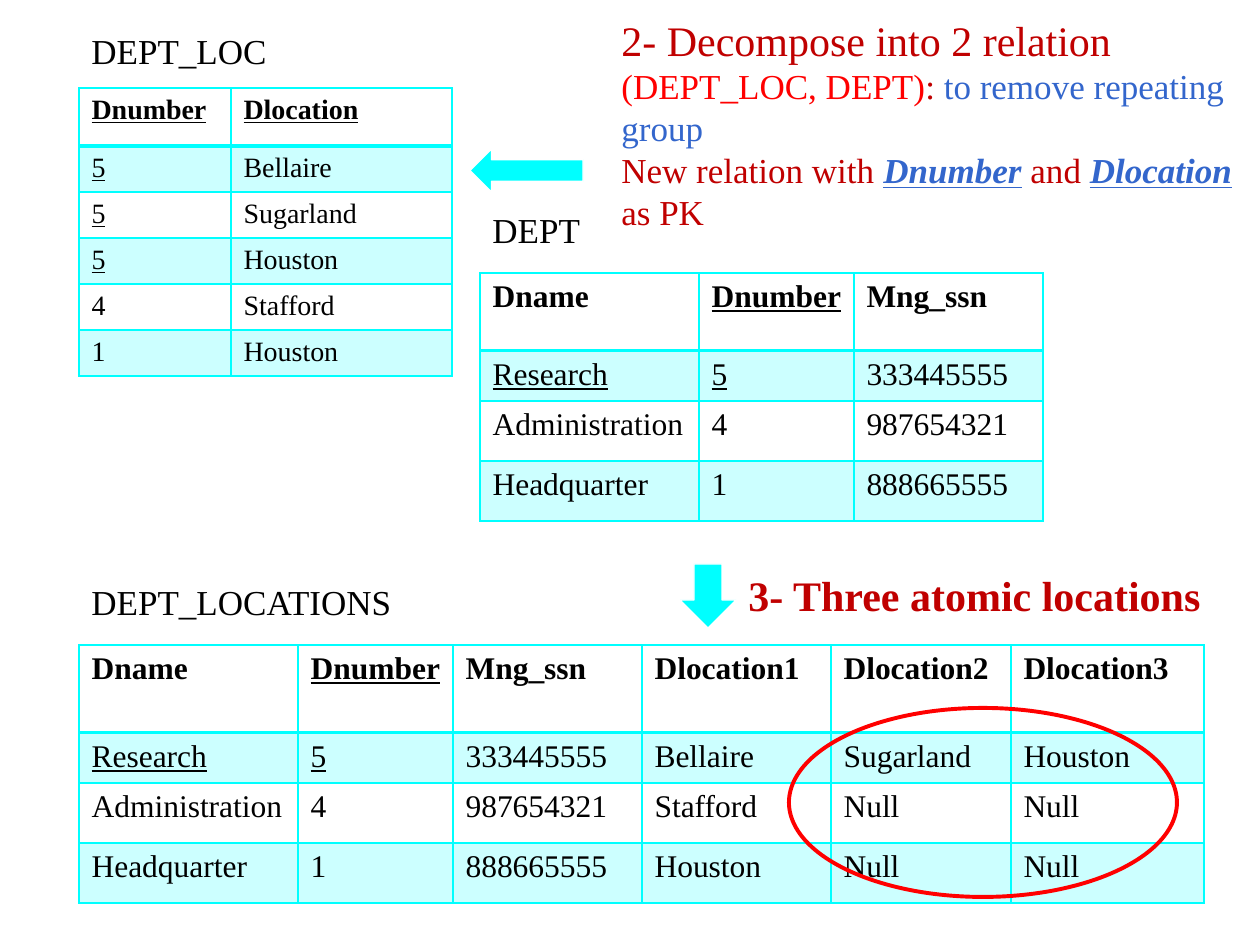
from dataclasses import dataclass

import lxml.etree
import pptx
import pptx.dml.color
import pptx.enum.shapes
import pptx.enum.text
import pptx.oxml.ns
import pptx.util

EMU_PER_PX = 914400 / 126
FONT = "Times New Roman"
COLORS = {
    "black": "000000",
    "white": "FFFFFF",
    "cyan": "00FFFF",
    "crimson": "C00000",
    "red": "FF0000",
    "blue": "3366CC",
}
KEYS = {"Dnumber", "Dlocation", "Research", "5"}  # underlined wherever they stand
MSO_SHAPE = pptx.enum.shapes.MSO_SHAPE


@dataclass
class Run:
    text: str
    color: str = "black"
    size: int = 20
    bold: bool = False
    italic: bool = False
    underline: bool = False


@dataclass
class Caption:
    box: tuple[int, int, int, int]
    paragraphs: list[list[Run]]
    wrap: bool = False


@dataclass
class Relation:
    left: int
    top: int
    columns: list[int]
    row_heights: list[int]
    size: int
    rows: list[list[str]]


@dataclass
class Mark:
    preset: MSO_SHAPE
    box: tuple[int, int, int, int]
    fill: str | None
    line: str
    line_width: float
    rotation: int = 0


def px(length: int) -> int:
    return pptx.util.Emu(round(length * EMU_PER_PX))


def rgb(color: str) -> pptx.dml.color.RGBColor:
    return pptx.dml.color.RGBColor.from_string(COLORS[color])


def add_run(paragraph, run: Run) -> None:
    part = paragraph.add_run()
    part.text = run.text
    font = part.font
    font.name, font.size = FONT, pptx.util.Pt(run.size)
    font.bold, font.italic, font.underline = run.bold, run.italic, run.underline
    font.color.rgb = rgb(run.color)


def add_child(parent, tag: str, **attributes: str):
    return lxml.etree.SubElement(parent, pptx.oxml.ns.qn(tag), **attributes)


def draw_borders(cell, heavy_sides: set[str]) -> None:
    properties = cell._tc.get_or_add_tcPr()
    for side in ("L", "R", "T", "B"):
        width = pptx.util.Pt(2 if side in heavy_sides else 1)
        border = add_child(properties, f"a:ln{side}", w=str(width))
        add_child(add_child(border, "a:solidFill"), "a:srgbClr", val=COLORS["cyan"])


def fill_cell(cell, banded: bool) -> None:
    if not banded:
        cell.fill.background()
        return
    cell.fill.solid()
    cell.fill.fore_color.rgb = rgb("cyan")
    tint = cell._tc.tcPr.find(".//" + pptx.oxml.ns.qn("a:solidFill") + "[last()]")
    tint = cell._tc.tcPr.find(pptx.oxml.ns.qn("a:solidFill"))
    add_child(tint[0], "a:alpha", val="20000")


def draw_relation(slide, relation: Relation) -> None:
    table = slide.shapes.add_table(
        len(relation.rows), len(relation.columns),
        px(relation.left), px(relation.top),
        px(sum(relation.columns)), px(sum(relation.row_heights)),
    ).table
    table.horz_banding = False
    for column, width in zip(table.columns, relation.columns):
        column.width = px(width)
    for r, (values, height) in enumerate(zip(relation.rows, relation.row_heights)):
        table.rows[r].height = px(height)
        heavy_sides = {0: {"B"}, 1: {"T"}}.get(r, set())
        for c, value in enumerate(values):
            cell = table.cell(r, c)
            draw_borders(cell, heavy_sides)
            fill_cell(cell, banded=r % 2 == 1)
            add_run(cell.text_frame.paragraphs[0],
                    Run(value, size=relation.size, bold=r == 0, underline=value in KEYS))


def draw_caption(slide, caption: Caption) -> None:
    frame = slide.shapes.add_textbox(*map(px, caption.box)).text_frame
    frame.word_wrap = caption.wrap
    frame.auto_size = pptx.enum.text.MSO_AUTO_SIZE.SHAPE_TO_FIT_TEXT
    for i, runs in enumerate(caption.paragraphs):
        paragraph = frame.add_paragraph() if i else frame.paragraphs[0]
        for run in runs:
            add_run(paragraph, run)


def draw_mark(slide, mark: Mark) -> None:
    shape = slide.shapes.add_shape(mark.preset, *map(px, mark.box))
    shape.shadow.inherit = False
    shape.rotation = mark.rotation
    if mark.fill:
        shape.fill.solid()
        shape.fill.fore_color.rgb = rgb(mark.fill)
    else:
        shape.fill.background()
    shape.line.color.rgb = rgb(mark.line)
    shape.line.width = pptx.util.Pt(mark.line_width)


# Departments, shared by the two relations that list them
DEPARTMENTS = [
    ["Dname", "Dnumber", "Mng_ssn"],
    ["Research", "5", "333445555"],
    ["Administration", "4", "987654321"],
    ["Headquarter", "1", "888665555"],
]
DEPARTMENT_COLUMNS = [219, 155, 189]
DEPARTMENT_ROWS = [50, 60, 60]
ATOMIC_LOCATIONS = [
    ["Dlocation1", "Dlocation2", "Dlocation3"],
    ["Bellaire", "Sugarland", "Houston"],
    ["Stafford", "Null", "Null"],
    ["Houston", "Null", "Null"],
]

RELATIONS = [
    Relation(79, 88, [152, 221], [58] + [46] * 5, 16, [
        ["Dnumber", "Dlocation"],
        ["5", "Bellaire"],
        ["5", "Sugarland"],
        ["5", "Houston"],
        ["4", "Stafford"],
        ["1", "Houston"],
    ]),
    Relation(480, 273, DEPARTMENT_COLUMNS, [78] + DEPARTMENT_ROWS, 18, DEPARTMENTS),
    Relation(79, 645, DEPARTMENT_COLUMNS + [189, 180, 193], [88] + DEPARTMENT_ROWS, 18,
             [left + right for left, right in zip(DEPARTMENTS, ATOMIC_LOCATIONS)]),
]

CAPTIONS = [
    # Relation names
    Caption((79, 23, 203, 55), [[Run("DEPT_LOC")]]),
    Caption((480, 202, 113, 55), [[Run("DEPT")]]),
    Caption((79, 574, 329, 55), [[Run("DEPT_LOCATIONS")]]),
    # Steps
    Caption((609, 8, 640, 233), [
        [Run("2- Decompose into 2 relation", "crimson", 24),
         Run(" (DEPT_LOC, DEPT)", "red"),
         Run(": ", "crimson"),
         Run("to remove repeating group", "blue")],
        [Run("New relation with ", "crimson"),
         Run("Dnumber", "blue", bold=True, italic=True, underline=True),
         Run(" and ", "crimson"),
         Run("Dlocation", "blue", bold=True, italic=True, underline=True),
         Run(" as PK", "crimson")],
    ], wrap=True),
    Caption((736, 563, 512, 64),
            [[Run("3- Three atomic locations", "crimson", 24, bold=True)]], wrap=True),
]

MARKS = [
    Mark(MSO_SHAPE.RIGHT_ARROW, (470, 149, 113, 43), "cyan", "white", 0.75, rotation=180),
    Mark(MSO_SHAPE.DOWN_ARROW, (680, 564, 56, 64), "cyan", "white", 0.75),
    Mark(MSO_SHAPE.OVAL, (789, 708, 388, 189), None, "red", 2.25),
]


def main() -> None:
    deck = pptx.Presentation()
    deck.slide_width, deck.slide_height = px(1260), px(945)
    slide = deck.slides.add_slide(deck.slide_layouts[6])
    for relation in RELATIONS:
        draw_relation(slide, relation)
    for caption in CAPTIONS:
        draw_caption(slide, caption)
    for mark in MARKS:
        draw_mark(slide, mark)
    deck.save("out.pptx")


if __name__ == "__main__":
    main()
